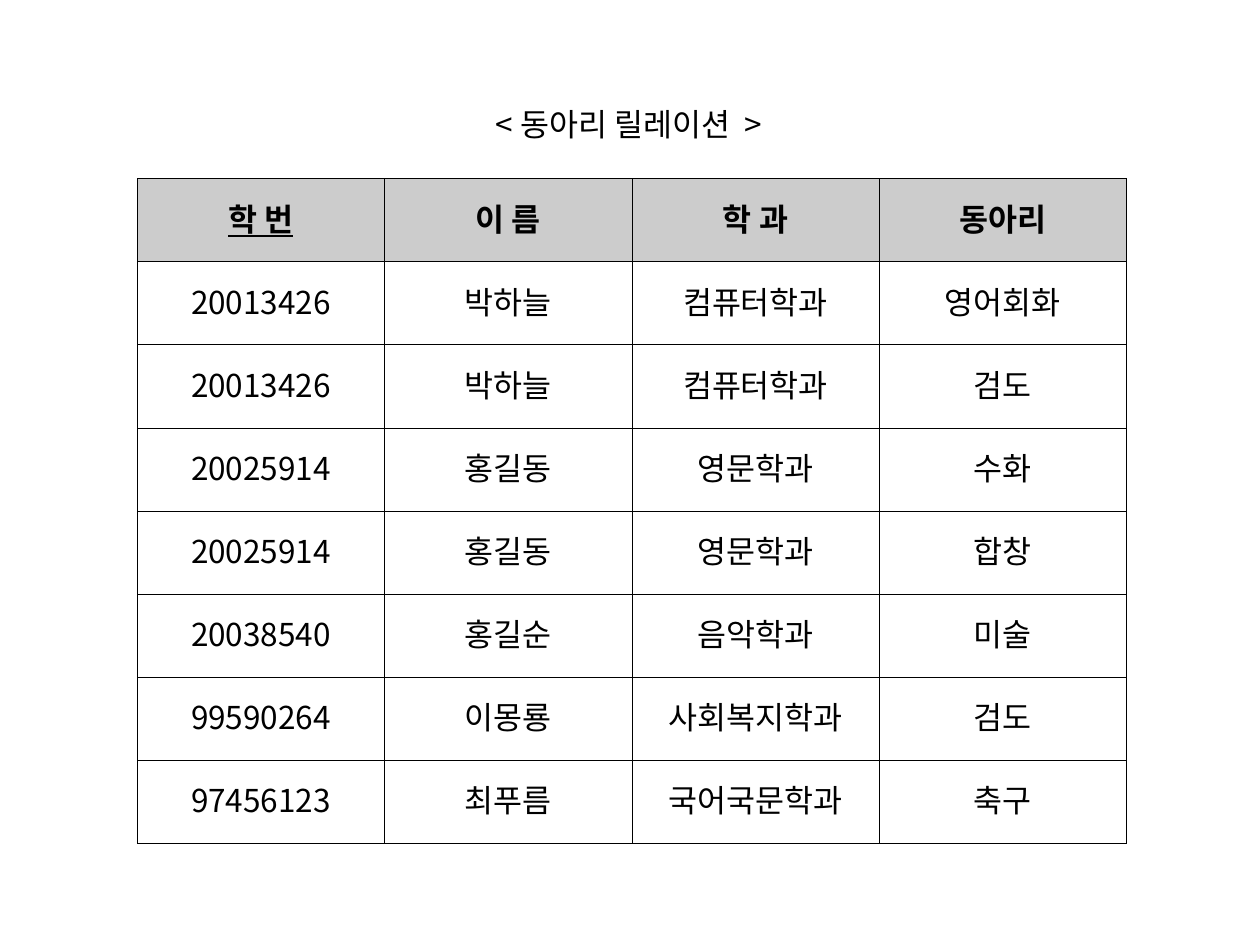
from lxml.etree import SubElement
from pptx import Presentation
from pptx.dml.color import RGBColor
from pptx.enum.text import MSO_ANCHOR, MSO_AUTO_SIZE, PP_ALIGN
from pptx.oxml.ns import qn
from pptx.util import Pt

TITLE = "< 동아리 릴레이션  >"
HEADER = ("학 번", "이 름", "학 과", "동아리")
ROWS = [
    ("20013426", "박하늘", "컴퓨터학과", "영어회화"),
    ("20013426", "박하늘", "컴퓨터학과", "검도"),
    ("20025914", "홍길동", "영문학과", "수화"),
    ("20025914", "홍길동", "영문학과", "합창"),
    ("20038540", "홍길순", "음악학과", "미술"),
    ("99590264", "이몽룡", "사회복지학과", "검도"),
    ("97456123", "최푸름", "국어국문학과", "축구"),
]
KEY_COLUMN = 0
KOREAN_FONT = "Noto Sans CJK KR"
COL_WIDTH, ROW_HEIGHT = 141.3, 47.5


def color(value):
    return RGBColor.from_string(value)


def write(tf, text, font=KOREAN_FONT, size=18, bold=False, underline=False,
          align=PP_ALIGN.CENTER, spacing=0.83):
    p = tf.paragraphs[0]
    p.alignment = align
    p.line_spacing = spacing
    r = p.add_run()
    r.text = text
    r.font.name = font
    r.font.size = Pt(size)
    r.font.bold = bold
    r.font.underline = underline
    r.font.color.rgb = color("000000")
    SubElement(r.font._element, qn("a:ea"), typeface=KOREAN_FONT)


def add_borders(cell, width=0.28, line_color="000000"):
    tc_pr = cell._tc.get_or_add_tcPr()
    for side in ("L", "R", "T", "B"):
        ln = SubElement(tc_pr, qn(f"a:ln{side}"), w=str(Pt(width)))
        fill = SubElement(ln, qn("a:solidFill"))
        SubElement(fill, qn("a:srgbClr"), val=line_color)


def fill_cell(cell, text, fill, **text_format):
    add_borders(cell)
    cell.fill.solid()
    cell.fill.fore_color.rgb = color(fill)
    cell.vertical_anchor = MSO_ANCHOR.MIDDLE
    write(cell.text_frame, text, **text_format)


def add_title(s):
    sp = s.shapes.title
    sp.left, sp.top, sp.width, sp.height = Pt(276), Pt(56.5), Pt(190), Pt(29)
    tf = sp.text_frame
    tf.word_wrap = False
    tf.auto_size = MSO_AUTO_SIZE.NONE
    tf.vertical_anchor = MSO_ANCHOR.TOP
    write(tf, TITLE, align=PP_ALIGN.LEFT, spacing=1.0)


def add_club_table(s):
    n_rows, n_cols = len(ROWS) + 1, len(HEADER)
    table = s.shapes.add_table(n_rows, n_cols, Pt(78.5), Pt(102),
                               Pt(COL_WIDTH * n_cols), Pt(ROW_HEIGHT * n_rows)).table
    table.first_row = table.horz_banding = False
    for column in table.columns:
        column.width = Pt(COL_WIDTH)
    for row in table.rows:
        row.height = Pt(ROW_HEIGHT)
    for j, text in enumerate(HEADER):
        fill_cell(table.cell(0, j), text, "CCCCCC", font="Arial",
                  bold=True, underline=j == KEY_COLUMN)
    for i, record in enumerate(ROWS, start=1):
        for j, text in enumerate(record):
            fill_cell(table.cell(i, j), text, "FFFFFF",
                      font=KOREAN_FONT if j == KEY_COLUMN else "Arial")


def main():
    prs = Presentation()
    prs.slide_width, prs.slide_height = Pt(720), Pt(540)
    s = prs.slides.add_slide(prs.slide_layouts[5])
    add_title(s)
    add_club_table(s)
    prs.save("out.pptx")


if __name__ == "__main__":
    main()
